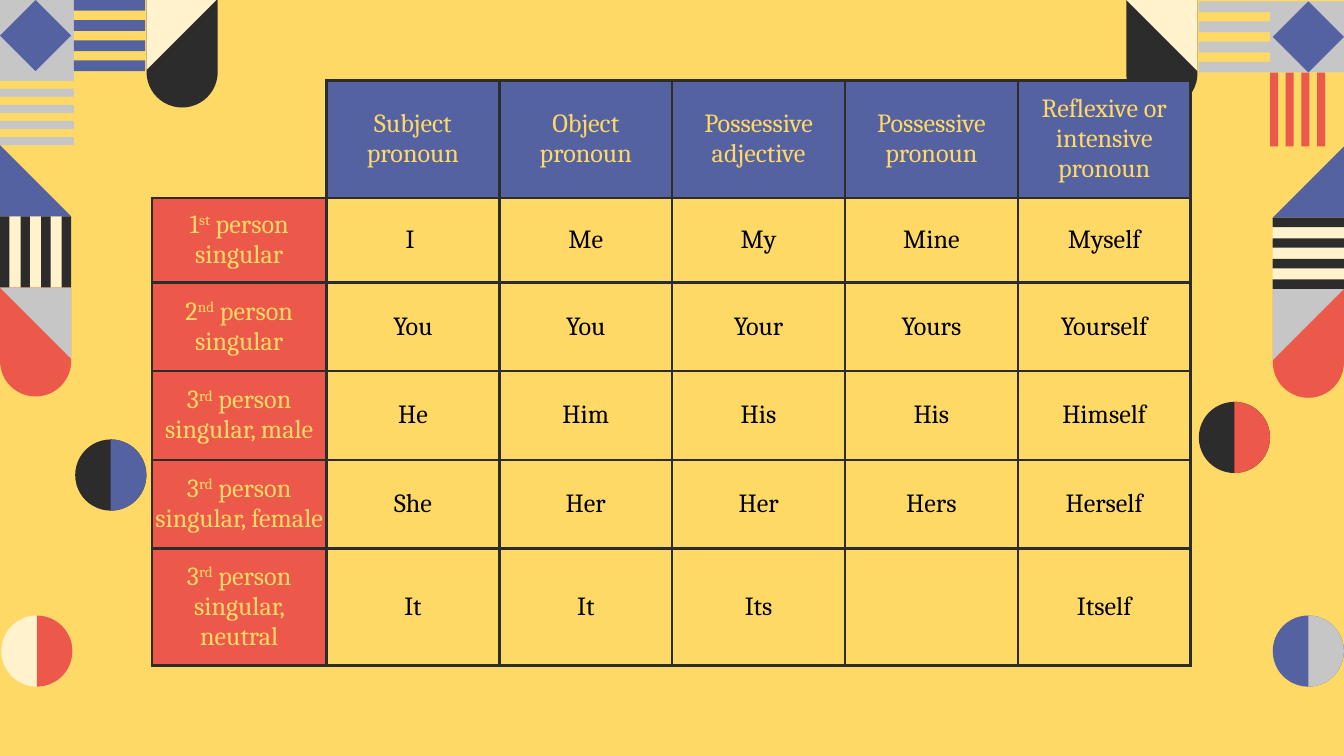
from dataclasses import dataclass

from lxml.etree import SubElement
from pptx import Presentation
from pptx.dml.color import RGBColor
from pptx.enum.shapes import MSO_SHAPE
from pptx.enum.text import MSO_ANCHOR, PP_ALIGN
from pptx.oxml.ns import qn
from pptx.util import Inches, Pt

YELLOW, BLUE, RED = "FFD966", "5562A2", "EC594B"
BLACK, GRAY, CREAM, TEXT = "2C2C2C", "C6C6C6", "FFF2CC", "000000"

TILE = 0.53
PILL_H = 0.81
# Left edges of the tile columns, and top edges of the tile rows on each side
COLS = (0, 0.55, 1.09, 8.38, 8.92, 9.47)
LEFT_ROWS = (0, 0.54, 1.08, 1.61, 2.14)
RIGHT_ROWS = (0, 0.54, 1.09, 1.62, 2.15)

# Rotation that brings the right angle of a triangle to a corner
CORNER = {"bl": 0, "tl": 90, "tr": 180, "br": 270}


@dataclass
class Stripes:
    x: float
    y: float
    width: float
    height: float
    count: int
    thick: float
    color: str
    vertical: bool = False


@dataclass
class Wedge:
    """A tile cut by its diagonal, optionally lying on a pill."""
    x: float
    y: float
    corner: str
    color: str
    pill: str = ""


@dataclass
class Disc:
    x: float
    y: float
    left: str
    right: str


DIAMONDS = [(COLS[0], 0), (COLS[5], 0.01)]
SQUARES = [(COLS[0], LEFT_ROWS[3]), (COLS[5], RIGHT_ROWS[3])]
WEDGES = [
    Wedge(COLS[2], -0.01, "tl", CREAM, BLACK),
    Wedge(COLS[3], RIGHT_ROWS[0], "tr", CREAM, BLACK),
    Wedge(COLS[0], LEFT_ROWS[2], "bl", BLUE),
    Wedge(COLS[5], RIGHT_ROWS[2], "br", BLUE),
    Wedge(COLS[0], LEFT_ROWS[4], "tr", GRAY, RED),
    Wedge(COLS[5], RIGHT_ROWS[4], "tl", GRAY, RED),
]
STRIPES = [
    Stripes(COLS[1], 0, TILE, TILE, 4, 0.08, BLUE),
    Stripes(COLS[4], 0.01, TILE, TILE, 4, 0.08, GRAY),
    Stripes(0, LEFT_ROWS[1], 0.55, 0.54, 5, 0.06, GRAY),
    Stripes(9.45, RIGHT_ROWS[1], 0.41, 0.55, 4, 0.06, RED, True),
    Stripes(COLS[0], LEFT_ROWS[3], TILE, TILE, 4, 0.07, BLACK, True),
    Stripes(COLS[5], RIGHT_ROWS[3], TILE, TILE, 4, 0.07, BLACK),
]
DISCS = [
    Disc(0.56, 3.27, BLACK, BLUE), Disc(0.01, 4.58, CREAM, RED),
    Disc(8.92, 2.99, BLACK, RED), Disc(9.47, 4.58, BLUE, GRAY),
]

HEADERS = ["Subject pronoun", "Object pronoun", "Possessive adjective",
           "Possessive pronoun", "Reflexive or intensive pronoun"]
PERSONS = [
    (("1", "st", " person singular"), ["I ", "Me", "My", "Mine", "Myself"]),
    (("2", "nd", " person singular"), ["You", "You", "Your", "Yours", "Yourself"]),
    (("3", "rd", " person singular, male"), ["He", "Him", "His", "His", "Himself"]),
    (("3", "rd", " person singular, female"), ["She", "Her", "Her", "Hers", "Herself"]),
    (("3", "rd", " person singular, neutral"), ["It", "It", "Its", "", "Itself"]),
]


def rgb(color: str) -> RGBColor:
    return RGBColor.from_string(color)


def add_shape(s, kind, x: float, y: float, w: float, h: float, color: str, rotation: float = 0):
    sp = s.shapes.add_shape(kind, Inches(x), Inches(y), Inches(w), Inches(h))
    sp.shadow.inherit = False
    sp.fill.solid()
    sp.fill.fore_color.rgb = rgb(color)
    sp.line.fill.background()
    sp.rotation = rotation
    return sp


def add_wedge(s, wedge: Wedge) -> None:
    x, y = wedge.x, wedge.y
    if wedge.pill:
        pill = add_shape(s, MSO_SHAPE.ROUND_2_SAME_RECTANGLE, x, y, TILE, PILL_H, wedge.pill, 180)
        pill.adjustments[0] = 0.5
    add_shape(s, MSO_SHAPE.RIGHT_TRIANGLE, x, y, TILE, TILE, wedge.color, CORNER[wedge.corner])


def add_stripes(s, st: Stripes) -> None:
    span = st.width if st.vertical else st.height
    pitch = (span - st.thick) / (st.count - 1)
    for i in range(st.count):
        if st.vertical:
            box = (st.x + i * pitch, st.y, st.thick, st.height)
        else:
            box = (st.x, st.y + i * pitch, st.width, st.thick)
        add_shape(s, MSO_SHAPE.RECTANGLE, *box, st.color)


def add_disc(s, disc: Disc) -> None:
    add_shape(s, MSO_SHAPE.OVAL, disc.x, disc.y, TILE, TILE, disc.left)
    half = add_shape(s, MSO_SHAPE.CHORD, disc.x, disc.y, TILE, TILE, disc.right)
    # Angles from 270 to 90 degrees, in units of 100000/60000 degree
    half.adjustments[0], half.adjustments[1] = 162, 54


def set_borders(cell, shown: str = "LRTB") -> None:
    tcPr = cell._tc.get_or_add_tcPr()
    for side in "LRTB":
        ln = SubElement(tcPr, qn(f"a:ln{side}"), w=str(Pt(1.5)))
        if side in shown:
            fill = SubElement(ln, qn("a:solidFill"))
            SubElement(fill, qn("a:srgbClr"), val=BLACK)
        else:
            SubElement(ln, qn("a:noFill"))


def fill_cell(cell, parts: tuple, color: str, fill: str = "", inset=(0.1, 0.1)) -> None:
    """Write the runs of a cell; the second run is superscript."""
    set_borders(cell)
    if fill:
        cell.fill.solid()
        cell.fill.fore_color.rgb = rgb(fill)
    else:
        cell.fill.background()
    side, end = map(Inches, inset)
    layout = {"vertical_anchor": MSO_ANCHOR.MIDDLE, "margin_left": side,
              "margin_right": side, "margin_top": end, "margin_bottom": end}
    for name, value in layout.items():
        setattr(cell, name, value)
    p = cell.text_frame.paragraphs[0]
    p.alignment = PP_ALIGN.CENTER
    for i, text in enumerate(parts):
        r = p.add_run()
        r.text = text
        for name, value in {"name": "Cambria", "size": Pt(14), "bold": False}.items():
            setattr(r.font, name, value)
        r.font.color.rgb = rgb(color)
        if i == 1:
            r._r.get_or_add_rPr().set("baseline", "30000")


def add_pronoun_table(s) -> None:
    width, first = 7.73, 1.3
    widths = [first] + [(width - first) / len(HEADERS)] * len(HEADERS)
    heights = [0.66, 0.63] + [0.66] * 4
    table = s.shapes.add_table(len(heights), len(widths), Inches(1.13), Inches(0.6),
                               Inches(width), Inches(sum(heights))).table
    table.first_row = table.horz_banding = False
    for column, size in zip(table.columns, widths):
        column.width = Inches(size)
    for row, size in zip(table.rows, heights):
        row.height = Inches(size)

    corner = table.cell(0, 0)
    set_borders(corner, "RB")
    corner.fill.background()
    for j, header in enumerate(HEADERS, 1):
        fill_cell(table.cell(0, j), (header,), YELLOW, BLUE)
    for i, (person, pronouns) in enumerate(PERSONS, 1):
        inset = (0.1, 0.1) if i == len(PERSONS) else (0, 0.04)
        fill_cell(table.cell(i, 0), person, YELLOW, RED, inset)
        for j, pronoun in enumerate(pronouns, 1):
            fill_cell(table.cell(i, j), (pronoun,) if pronoun else (), TEXT)


def main() -> None:
    prs = Presentation()
    prs.slide_width = Inches(10)
    prs.slide_height = prs.slide_width * 9 // 16
    s = prs.slides.add_slide(prs.slide_layouts[6])
    s.background.fill.solid()
    s.background.fill.fore_color.rgb = rgb(YELLOW)

    for x, y in DIAMONDS:
        add_shape(s, MSO_SHAPE.RECTANGLE, min(x, 9.45), y, 0.55, TILE, GRAY)
        add_shape(s, MSO_SHAPE.DIAMOND, x, y, TILE, TILE, BLUE)
    # The left gray tile runs on into the stripes under it
    add_shape(s, MSO_SHAPE.RECTANGLE, 0, TILE, 0.55, 0.07, GRAY)
    for x, y in SQUARES:
        add_shape(s, MSO_SHAPE.RECTANGLE, x, y, TILE, TILE, CREAM)
    for wedge in WEDGES:
        add_wedge(s, wedge)
    for stripes in STRIPES:
        add_stripes(s, stripes)
    for disc in DISCS:
        add_disc(s, disc)
    add_pronoun_table(s)
    prs.save("out.pptx")


if __name__ == "__main__":
    main()
